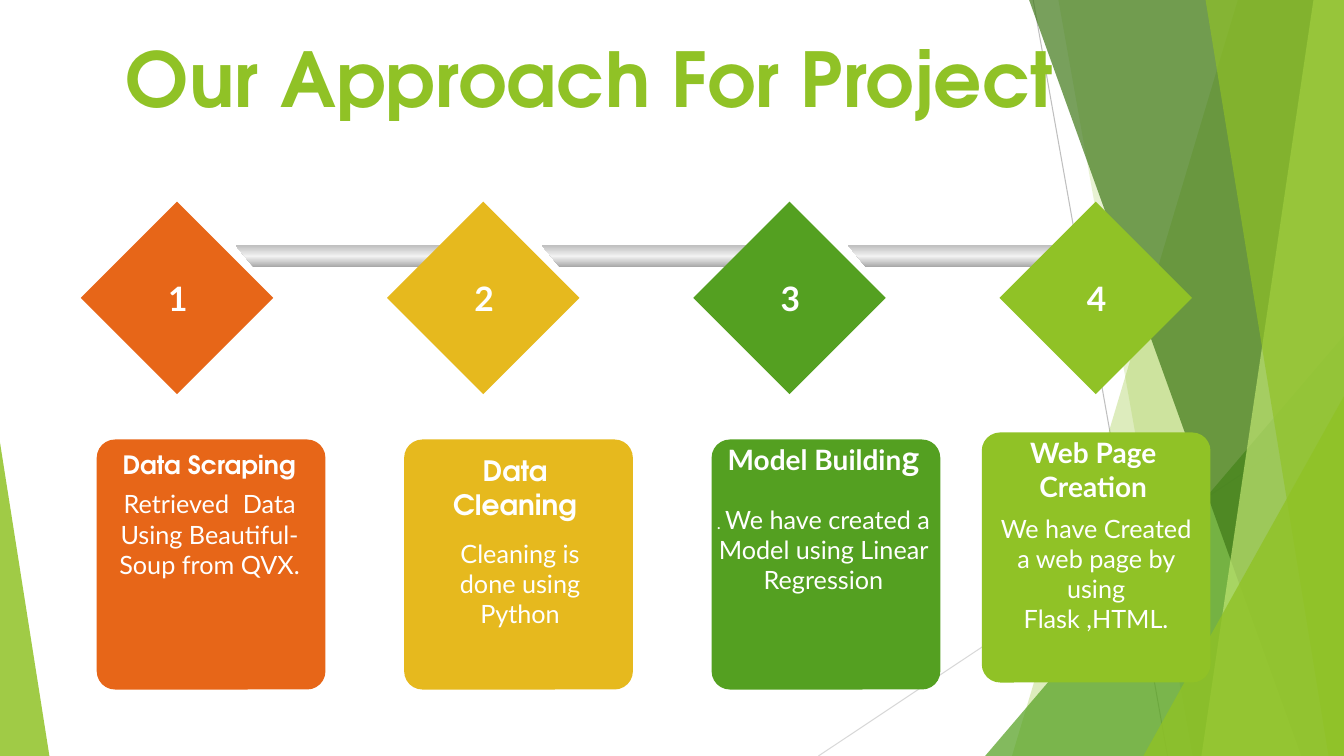
from lxml.etree import SubElement
from pptx import Presentation
from pptx.dml.color import RGBColor
from pptx.enum.shapes import MSO_CONNECTOR, MSO_SHAPE
from pptx.enum.text import MSO_ANCHOR, PP_ALIGN
from pptx.oxml.ns import qn
from pptx.util import Pt

WIDTH, HEIGHT = 960, 540
HEAD_FONT, BODY_FONT = "TeX Gyre Adventor", "Lato"
COLORS = {
    "white": "FFFFFF", "lime": "90C226", "green": "54A021", "forest": "3F7818",
    "pale": "BFE471", "orange": "E76618", "gold": "E6B91E",
    "line": "BFBFBF", "soft_line": "D8D8D8",
}
BAR_STOPS = [(0, "A5A5A5"), (50, "F2F2F2"), (100, "BFBFBF")]
STEP_COLORS = ["orange", "gold", "green", "lime"]
STEP_PITCH = 218.75

HEAD = {"size": 20, "bold": True, "name": BODY_FONT}
BODY = {"size": 18, "name": BODY_FONT}

# Text boxes are (left, top, width, height) measured from the card's corner
CARDS = [
    {"left": 69.1, "top": 313.9, "texts": [
        ((-4.3, 3.6, 169.2, 28.8),
         [("Data Scraping", {**HEAD, "size": 18, "name": HEAD_FONT})]),
        ((-3.6, 29.5, 168.5, 75),
         [("Retrieved", BODY), (" ", {**BODY, "size": 20}),
          (" Data Using Beautiful-Soup from QVX.", BODY)])]},
    {"left": 288.7, "top": 313.9, "texts": [
        ((13.7, 6.5, 131, 55.4), [("Data Cleaning", {**HEAD, "name": HEAD_FONT})]),
        ((17.3, 67, 131, 72.7), [("Cleaning is done using Python", BODY)])]},
    {"left": 508.3, "top": 313.9, "texts": [
        ((-3.6, -5, 167, 36), [("Model Buildin", HEAD), ("g", {**HEAD, "size": 24})]),
        ((-3.6, 42.5, 167, 72.7),
         [(". ", {**BODY, "size": 12}),
          ("We have created a Model using Linear Regression", BODY)])]},
    {"left": 701.3, "top": 308.9, "texts": [
        ((13, -1.4, 133.2, 49), [("Web Page Creation", HEAD)]),
        ((3.6, 54, 156.2, 94),
         [("We have Created a web page by using Flask ,HTML.", BODY)])]},
]


def style_shape(shape, color, opacity=100):
    shape.shadow.inherit = False
    shape.line.fill.background()
    shape.fill.solid()
    shape.fill.fore_color.rgb = RGBColor.from_string(COLORS[color])
    if opacity < 100:
        color_node = shape.fill._xPr.find(qn("a:solidFill"))[0]
        SubElement(color_node, qn("a:alpha"), val=str(opacity * 1000))


def add_block(page, kind, box, color, opacity=100, adjust=None):
    block = page.shapes.add_shape(kind, *map(Pt, box))
    style_shape(block, color, opacity)
    if adjust is not None:
        block.adjustments[0] = adjust
    return block


def add_polygon(page, points):
    corners = [(Pt(x), Pt(y)) for x, y in points]
    builder = page.shapes.build_freeform(*corners[0])
    builder.add_line_segments(corners[1:], close=True)
    return builder.convert_to_shape()


def add_text(page, box, spans, color="white", anchor=MSO_ANCHOR.TOP):
    """Add one centred paragraph made of (text, font values) spans."""
    frame = page.shapes.add_textbox(*map(Pt, box)).text_frame
    frame.word_wrap = True
    frame.vertical_anchor = anchor
    para = frame.paragraphs[0]
    para.alignment = PP_ALIGN.CENTER
    for text, values in spans:
        span = para.add_run()
        span.text = text
        span.font.color.rgb = RGBColor.from_string(COLORS[color])
        for name, value in values.items():
            setattr(span.font, name, Pt(value) if name == "size" else value)


def add_thin_line(page, ends, color):
    line = page.shapes.add_connector(MSO_CONNECTOR.STRAIGHT, *map(Pt, ends))
    line.line.color.rgb = RGBColor.from_string(COLORS[color])
    line.line.width = Pt(0.75)
    SubElement(line._element.spPr, qn("a:effectLst"))


def add_panel(page, top_left, bottom_left, color, opacity):
    """Fill the slide from a slanted left edge to its right edge."""
    panel = add_polygon(page, [(top_left, 0), (WIDTH, 0),
                               (WIDTH, HEIGHT), (bottom_left, HEIGHT)])
    style_shape(panel, color, opacity)


def add_corner(page, width, height, color, opacity, at_right=True):
    box = (WIDTH - width if at_right else 0, HEIGHT - height, width, height)
    add_block(page, MSO_SHAPE.ISOSCELES_TRIANGLE, box, color, opacity, int(at_right))


def add_backdrop(page):
    add_thin_line(page, (738, 0, 834, HEIGHT), "line")
    add_thin_line(page, (WIDTH, 290, 584.6, HEIGHT), "soft_line")
    add_panel(page, 884.2, 722.9, "lime", 30)
    add_panel(page, 756, 851.8, "lime", 20)
    add_corner(page, 256.3, 300.2, "green", 72)
    add_panel(page, 735.1, 929.5, "forest", 70)
    add_panel(page, 938.2, 858.2, "pale", 70)
    add_panel(page, 861.1, 949, "lime", 65)
    add_corner(page, 143.3, 257, "lime", 80)
    add_corner(page, 35.3, 223.9, "lime", 85, at_right=False)


def add_bar(page, left, top, width=151.2, height=15.8, slant=12.8):
    """Add a metallic bar whose left end is cut along the diamond."""
    bar = add_polygon(page, [(left, top), (left + width, top),
                             (left + width, top + height), (left + slant, top + height)])
    style_shape(bar, "white")
    properties = bar._element.spPr
    solid = properties.find(qn("a:solidFill"))
    gradient = SubElement(properties, qn("a:gradFill"), rotWithShape="1")
    stops = SubElement(gradient, qn("a:gsLst"))
    for position, color in BAR_STOPS:
        stop = SubElement(stops, qn("a:gs"), pos=str(position * 1000))
        SubElement(stop, qn("a:srgbClr"), val=color)
    SubElement(gradient, qn("a:lin"), ang=str(270 * 60000), scaled="0")
    properties.replace(solid, gradient)


def add_timeline(page, left, top, side=97.2):
    """Add the numbered diamonds, each but the last followed by a bar."""
    lefts = [left + index * STEP_PITCH for index in range(len(STEP_COLORS))]
    for step_left, color in zip(lefts, STEP_COLORS):
        diamond = add_block(page, MSO_SHAPE.RECTANGLE, (step_left, top, side, side), color)
        diamond.rotation = 45
        if step_left != lefts[-1]:
            add_bar(page, step_left + 90.6, top + 11)
    for number, step_left in enumerate(lefts, start=1):
        add_text(page, (step_left + 15, top + 31, 68.4, 36),
                 [(str(number), {**HEAD, "size": 24})])


def add_card(page, card, color, width=163.4, height=178.6):
    left, top = card["left"], card["top"]
    add_block(page, MSO_SHAPE.ROUNDED_RECTANGLE, (left, top, width, height), color,
              adjust=0.08)
    for (x, y, text_width, text_height), spans in card["texts"]:
        add_text(page, (left + x, top + y, text_width, text_height), spans)


def main():
    deck = Presentation()
    deck.slide_width, deck.slide_height = Pt(WIDTH), Pt(HEIGHT)
    page = deck.slides.add_slide(deck.slide_layouts[6])
    add_backdrop(page)
    add_text(page, (25.2, 26.6, 792, 56.9),
             [("Our Approach For Project", {**HEAD, "size": 54, "name": HEAD_FONT})],
             "lime", MSO_ANCHOR.MIDDLE)
    add_timeline(page, 77.8, 164.2)
    for card, color in zip(CARDS, STEP_COLORS):
        add_card(page, card, color)
    deck.save("out.pptx")


if __name__ == "__main__":
    main()
